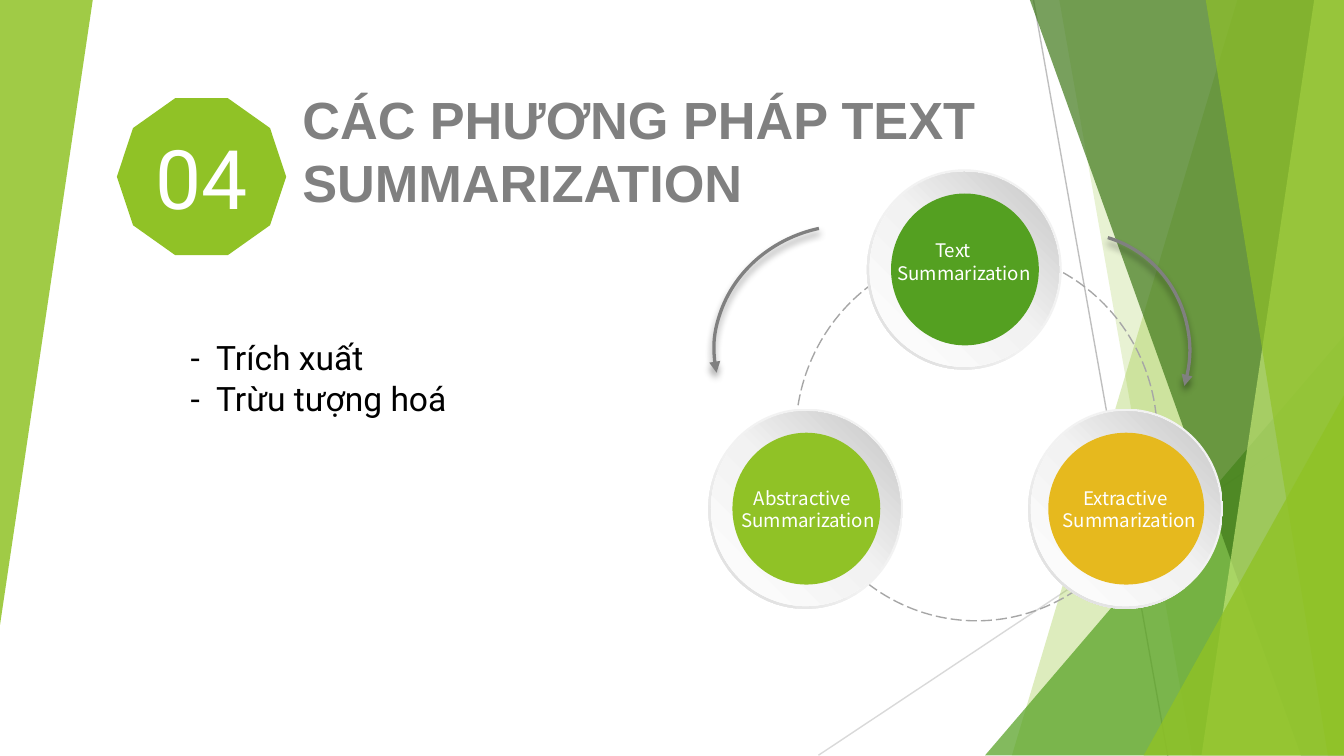
import pptx
import pptx.util
import pptx.dml.color
import pptx.enum.dml
import pptx.enum.shapes
import pptx.enum.text
import pptx.oxml
import pptx.oxml.ns

Inches = pptx.util.Inches
Pt = pptx.util.Pt
RGBColor = pptx.dml.color.RGBColor
MSO_SHAPE = pptx.enum.shapes.MSO_SHAPE
NAMESPACE = pptx.oxml.ns.nsdecls("a")

THEME = {
    "lime": "90C226", "green": "54A021", "forest": "3F7819", "pale": "C0E474",
    "gold": "E6B91E", "gray": "808080", "dash": "A6A6A6",
    "line_dark": "BFBFBF", "line_light": "D9D9D9",
    "white": "FFFFFF", "black": "000000",
    "rim": [(0, "F2F2F2"), (55, "F2F2F2"), (100, "D9D9D9")],
    "dish": [(0, "FFFFFF"), (51, "F2F2F2"), (100, "C5C5C5")],
    "number": 44, "title": 28, "body": 18, "label": 10,
    "title_font": "Arial", "body_font": "Roboto", "label_font": "Noto Sans CJK SC",
}

# Widescreen slide, 16 by 9
presentation = pptx.Presentation()
presentation.slide_width = Inches(10)
presentation.slide_height = Inches(10) * 9 // 16
slide = presentation.slides.add_slide(presentation.slide_layouts[6])
shapes = slide.shapes


def style_shape(shape, fill=None, alpha=100, stops=None, angle=0):
    """Remove line and shadow, then apply a solid, gradient or empty fill."""
    shape.shadow.inherit = False
    shape.line.fill.background()
    if fill is None and stops is None:
        shape.fill.background()
        return
    shape.fill.solid()
    shape.fill.fore_color.rgb = RGBColor.from_string(fill or THEME["white"])
    solid = shape._element.spPr.find(pptx.oxml.ns.qn("a:solidFill"))
    if alpha < 100:
        solid[0].append(pptx.oxml.parse_xml(f'<a:alpha {NAMESPACE} val="{alpha * 1000}"/>'))
    if stops:
        stop_xml = "".join(f'<a:gs pos="{position * 1000}"><a:srgbClr val="{color}"/></a:gs>'
                           for position, color in stops)
        gradient = pptx.oxml.parse_xml(
            f'<a:gradFill {NAMESPACE} rotWithShape="1"><a:gsLst>{stop_xml}</a:gsLst>'
            f'<a:lin ang="{angle * 60000}" scaled="0"/></a:gradFill>')
        solid.getparent().replace(solid, gradient)


def write_text(shape, text, size, font, color, bold=False):
    frame = shape.text_frame
    frame.word_wrap = True
    frame.text = text
    for paragraph in frame.paragraphs:
        for run in paragraph.runs:
            run.font.size = Pt(size)
            run.font.name = font
            run.font.bold = bold
            run.font.color.rgb = RGBColor.from_string(color)
    return frame


# Background lines
for x1, y1, x2, y2, color in [(7.69, 0, 8.69, 5.63, "line_dark"),
                              (10, 3.02, 6.09, 5.62, "line_light")]:
    line = shapes.add_connector(pptx.enum.shapes.MSO_CONNECTOR.STRAIGHT,
                                Inches(x1), Inches(y1), Inches(x2), Inches(y2))
    line.line.color.rgb = RGBColor.from_string(THEME[color])
    line.line.width = Pt(0.75)
    line._element.spPr.append(pptx.oxml.parse_xml(f"<a:effectLst {NAMESPACE}/>"))

# Background facets: panels reach the right edge, triangles lean on a corner
facets = [
    ("panel", (9.21, 7.53), "lime", 30),
    ("panel", (7.88, 8.87), "lime", 20),
    ("triangle", (7.33, 2.5, 2.67, 3.12, 0), "green", 72),
    ("panel", (7.66, 9.68), "forest", 70),
    ("panel", (9.78, 8.94), "pale", 70),
    ("panel", (8.97, 9.88), "lime", 65),
    ("triangle", (8.51, 2.94, 1.49, 2.68, 0), "lime", 80),
    ("triangle", (0, 0, 0.69, 4.65, 180), "lime", 85),
]
for kind, place, color, alpha in facets:
    if kind == "panel":
        top_x, bottom_x = place
        builder = shapes.build_freeform(Inches(top_x), Inches(-0.01))
        builder.add_line_segments([(Inches(x), Inches(y)) for x, y in
                                   [(10, -0.01), (10, 5.62), (bottom_x, 5.62)]])
        facet = builder.convert_to_shape()
    else:
        facet = shapes.add_shape(MSO_SHAPE.ISOSCELES_TRIANGLE, *map(Inches, place[:4]))
        facet.adjustments[0] = 1
        facet.rotation = place[4]
    style_shape(facet, THEME[color], alpha)

# Section number
badge = shapes.add_shape(MSO_SHAPE.DECAGON, Inches(0.87), Inches(0.73), Inches(1.26), Inches(1.17))
style_shape(badge, THEME["lime"])
frame = write_text(badge, "04", THEME["number"], THEME["body_font"], THEME["white"])
frame.vertical_anchor = pptx.enum.text.MSO_ANCHOR.MIDDLE
frame.paragraphs[0].alignment = pptx.enum.text.PP_ALIGN.CENTER

# Title
title = shapes.add_textbox(Inches(2.25), Inches(0.65), Inches(7.55), Inches(0.94))
frame = write_text(title, "CÁC PHƯƠNG PHÁP TEXT SUMMARIZATION",
                   THEME["title"], THEME["title_font"], THEME["gray"], bold=True)
frame.margin_left = frame.margin_right = frame.margin_top = frame.margin_bottom = 0

# List of methods, with a hanging indent after each dash
methods = shapes.add_textbox(Inches(1.32), Inches(2.46), Inches(2.87), Inches(0.71))
frame = write_text(methods, "-\tTrích xuất\n-\tTrừu tượng hoá",
                   THEME["body"], THEME["body_font"], THEME["black"])
for paragraph in frame.paragraphs:
    properties = paragraph._p.get_or_add_pPr()
    properties.set("marL", str(Inches(0.19)))
    properties.set("indent", str(Inches(-0.19)))

# Dashed orbit
orbit = shapes.add_shape(MSO_SHAPE.OVAL, Inches(5.92), Inches(1.86), Inches(2.69), Inches(2.76))
style_shape(orbit)
orbit.line.color.rgb = RGBColor.from_string(THEME["dash"])
orbit.line.width = Pt(0.75)
orbit.line.dash_style = pptx.enum.dml.MSO_LINE.LONG_DASH

# Nodes: left and top, core width, color, label place and width, words, first-line indent
nodes = [
    (6.45, 1.26, 1.1, "green", 6.58, 1.73, 1.57, "Text", 0.28),
    (5.27, 3.04, 1.1, "lime", 5.42, 3.57, 1.73, "Abstractive", 0.09),
    (7.65, 3.04, 1.16, "gold", 7.81, 3.57, 2.18, "Extractive", 0.15),
]
for left, top, core_width, color, label_left, label_top, label_width, word, indent in nodes:
    rim = shapes.add_shape(MSO_SHAPE.DONUT, Inches(left), Inches(top), Inches(1.45), Inches(1.49))
    rim.adjustments[0] = 0.05
    style_shape(rim, stops=THEME["rim"], angle=135)
    dish = shapes.add_shape(MSO_SHAPE.OVAL, Inches(left + 0.02), Inches(top + 0.02),
                            Inches(1.41), Inches(1.45))
    style_shape(dish, stops=THEME["dish"], angle=315)
    core = shapes.add_shape(MSO_SHAPE.OVAL, Inches(left + 0.73 - core_width / 2),
                            Inches(top + 0.18), Inches(core_width), Inches(1.13))
    style_shape(core, THEME[color])
    label = shapes.add_textbox(Inches(label_left), Inches(label_top),
                               Inches(label_width), Inches(0.44))
    frame = write_text(label, f"{word}\nSummarization",
                       THEME["label"], THEME["label_font"], THEME["white"])
    frame.paragraphs[0]._p.get_or_add_pPr().set("indent", str(Inches(indent)))

# Curved arrows
for left, top, width, rotation, flipped in [(7.12, 1.73, 1.73, 16.9, False),
                                            (5.31, 1.68, 1.94, 347.9, True)]:
    arrow = shapes.add_shape(MSO_SHAPE.ARC, Inches(left), Inches(top), Inches(width), Inches(1.78))
    arrow.rotation = rotation
    style_shape(arrow)
    arrow.line.color.rgb = RGBColor.from_string(THEME["gray"])
    arrow.line.width = Pt(1.75)
    properties = arrow._element.spPr
    if flipped:
        properties.find(pptx.oxml.ns.qn("a:xfrm")).set("flipH", "1")
    properties.find(pptx.oxml.ns.qn("a:ln")).append(
        pptx.oxml.parse_xml(f'<a:tailEnd {NAMESPACE} type="triangle"/>'))
    properties.find(pptx.oxml.ns.qn("a:effectLst")).append(pptx.oxml.parse_xml(
        f'<a:outerShdw {NAMESPACE} blurRad="{Pt(4)}" dist="{Pt(3)}" dir="5400000" rotWithShape="0">'
        f'<a:srgbClr val="{THEME["black"]}"><a:alpha val="40000"/></a:srgbClr></a:outerShdw>'))

presentation.save("out.pptx")
